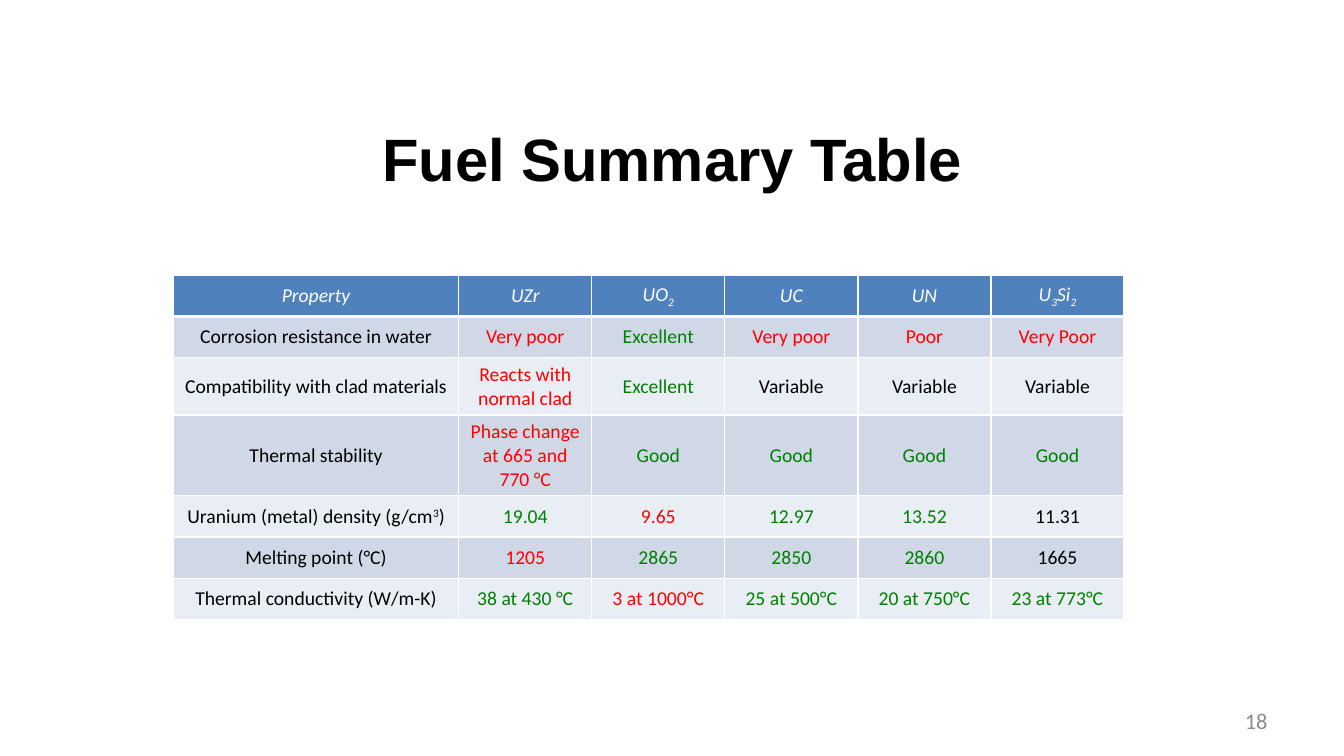
"""Build the fuel summary table slide."""
from lxml.etree import SubElement
from pptx import Presentation
from pptx.dml.color import RGBColor
from pptx.enum.text import MSO_ANCHOR as Anchor, PP_ALIGN as Align
from pptx.oxml.ns import qn
from pptx.util import Inches, Pt

COLORS = {
    "black": "000000", "white": "FFFFFF", "gray": "8C8C8C",
    "good": "008000", "bad": "FF0000",
    "header": "4F81BD", "band_dark": "D0D8E8", "band_light": "E9EDF4",
}
SUB, SUPER = -25000, 30000
HEADER = [
    "Property", "UZr", ["UO", ("2", SUB)], "UC", "UN",
    ["U", ("3", SUB), "Si", ("2", SUB)],
]
ROWS = [
    ("Corrosion resistance in water",
     [("Very poor", "bad"), ("Excellent", "good"), ("Very poor", "bad"),
      ("Poor", "bad"), ("Very Poor", "bad")]),
    ("Compatibility with clad materials",
     [("Reacts with normal clad", "bad"), ("Excellent", "good"),
      ("Variable", "black"), ("Variable", "black"), ("Variable", "black")]),
    ("Thermal stability",
     [("Phase change at 665 and 770 °C", "bad"), ("Good", "good"),
      ("Good", "good"), ("Good", "good"), ("Good", "good")]),
    (["Uranium (metal) density (g/cm", ("3", SUPER), ")"],
     [("19.04", "good"), ("9.65", "bad"), ("12.97", "good"),
      ("13.52", "good"), ("11.31", "black")]),
    ("Melting point (°C)",
     [("1205", "bad"), ("2865", "good"), ("2850", "good"),
      ("2860", "good"), ("1665", "black")]),
    ("Thermal conductivity (W/m-K)",
     [("38 at 430 °C", "good"), ("3 at 1000°C", "bad"),
      ("25 at 500°C", "good"), ("20 at 750°C", "good"),
      ("23 at 773°C", "good")]),
]
TABLE_LEFT, TABLE_TOP, ROW_HEIGHT = 1.72, 2.73, 0.41
PROPERTY_WIDTH, FUEL_WIDTH = 2.83, 1.32


def write_text(frame, text, size=14, font="Calibri", color="black",
               bold=False, italic=False, align=Align.CENTER):
    paragraph = frame.paragraphs[0]
    paragraph.alignment = align
    for part in [text] if isinstance(text, str) else text:
        words, baseline = (part, 0) if isinstance(part, str) else part
        run = paragraph.add_run()
        run.text = words
        run.font.size = Pt(size)
        run.font.name = font
        run.font.bold = bold
        run.font.italic = italic
        run.font.color.rgb = RGBColor.from_string(COLORS[color])
        if baseline:
            run.font._element.set("baseline", str(baseline))


def add_label(slide, left, top, width, height, text, **style):
    frame = slide.shapes.add_textbox(
        Inches(left), Inches(top), Inches(width), Inches(height)).text_frame
    frame.word_wrap = True
    frame.vertical_anchor = Anchor.MIDDLE
    write_text(frame, text, **style)


def set_borders(cell, bottom):
    properties = cell._tc.get_or_add_tcPr()
    for side, width in (("L", 1), ("R", 1), ("T", 1), ("B", bottom)):
        line = SubElement(properties, qn(f"a:ln{side}"), w=str(Pt(width)))
        fill = SubElement(line, qn("a:solidFill"))
        SubElement(fill, qn("a:srgbClr"), val=COLORS["white"])


def add_fuel_table(slide):
    grid = [[(text, "white") for text in HEADER]]
    grid += [[(name, "black"), *values] for name, values in ROWS]
    widths = [PROPERTY_WIDTH] + [FUEL_WIDTH] * (len(HEADER) - 1)
    table = slide.shapes.add_table(
        len(grid), len(widths), Inches(TABLE_LEFT), Inches(TABLE_TOP),
        Inches(sum(widths)), Inches(ROW_HEIGHT * len(grid))).table
    for column, width in zip(table.columns, widths):
        column.width = Inches(width)
    for index, (row, entries) in enumerate(zip(table.rows, grid)):
        row.height = Inches(ROW_HEIGHT)
        is_header = index == 0
        band = "band_dark" if index % 2 else "band_light"
        fill = "header" if is_header else band
        for cell, (text, color) in zip(row.cells, entries):
            set_borders(cell, bottom=3 if is_header else 1)
            cell.fill.solid()
            cell.fill.fore_color.rgb = RGBColor.from_string(COLORS[fill])
            cell.vertical_anchor = Anchor.MIDDLE
            write_text(cell.text_frame, text, color=color, italic=is_header)


def main():
    presentation = Presentation()
    presentation.slide_width = Inches(13.33)
    presentation.slide_height = Inches(7.5)
    slide = presentation.slides.add_slide(presentation.slide_layouts[6])
    add_label(slide, 0.67, 0.98, 12, 1.17, "Fuel Summary Table",
              size=42.7, font="Arial", bold=True)
    add_fuel_table(slide)
    add_label(slide, 9.56, 6.95, 3.11, 0.4, "18",
              size=16, color="gray", align=Align.RIGHT)
    presentation.save("out.pptx")


if __name__ == "__main__":
    main()
